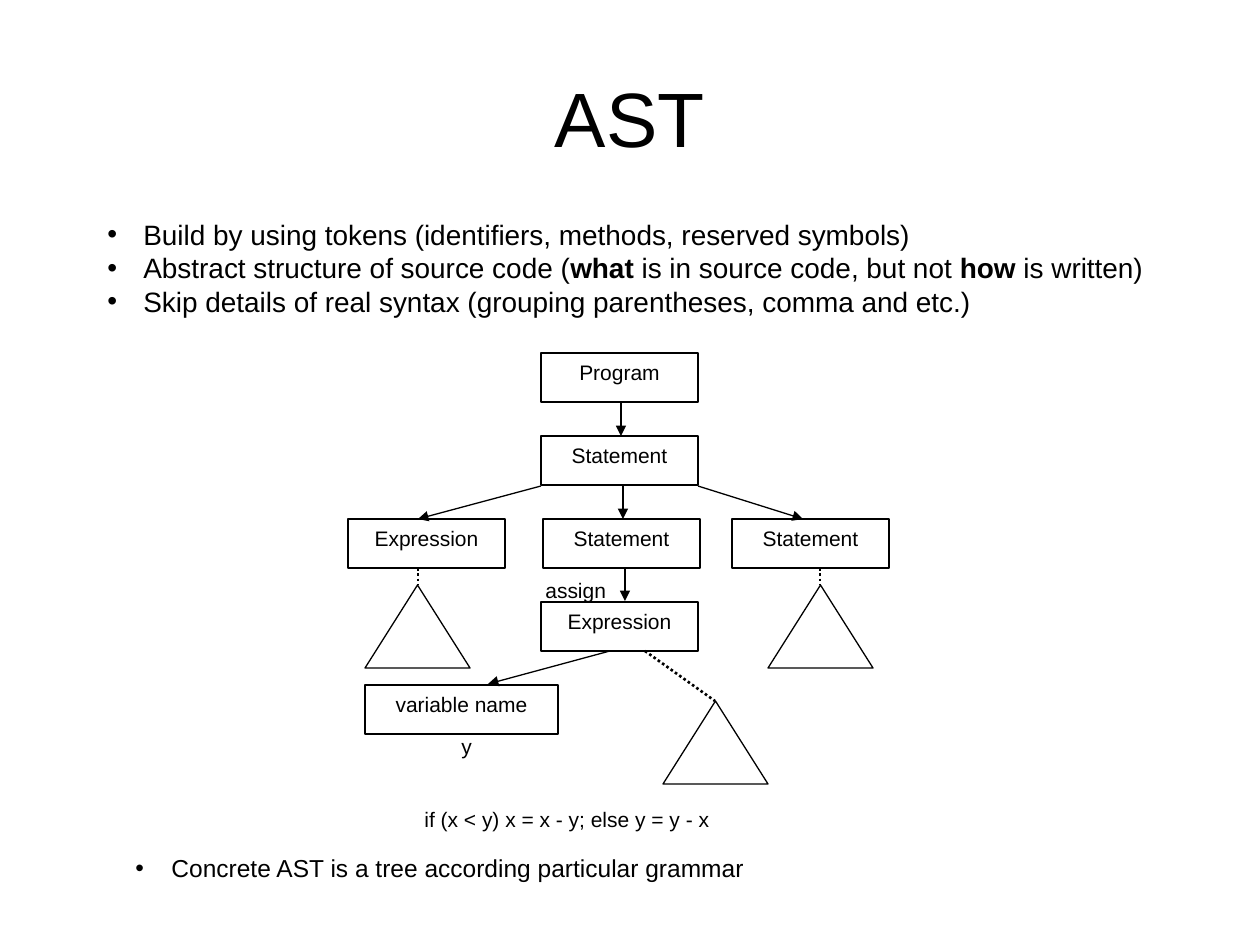
import pptx
import pptx.util
import pptx.dml.color
import pptx.enum.dml
import pptx.enum.shapes
import pptx.enum.text
import pptx.oxml.ns
from lxml import etree

PX = 914400 / 126
SHAPE = pptx.enum.shapes.MSO_SHAPE
ALIGN = pptx.enum.text.PP_ALIGN
ANCHOR = pptx.enum.text.MSO_ANCHOR
qn = pptx.oxml.ns.qn


def px(*values):
    return [pptx.util.Emu(round(v * PX)) for v in values]


def color(value):
    return pptx.dml.color.RGBColor.from_string(value)


prs = pptx.Presentation()
prs.slide_width, prs.slide_height = px(1260, 945)
s = prs.slides.add_slide(prs.slide_layouts[6])

# Tree nodes and collapsed subtrees: preset, text, left, top, width, height
TOP, STEP, W, H = 353, 83, 157, 49
nodes = [(SHAPE.RECTANGLE, text, x, TOP + STEP * row, w, H) for text, x, row, w in [
    ("Program", 541, 0, W),
    ("Statement", 541, 1, W),
    ("Expression", 348, 2, W),
    ("Statement", 543, 2, W),
    ("Statement", 732, 2, W),
    ("Expression", 541, 3, W),
    ("variable name", 365, 4, 193),
]]
nodes += [(SHAPE.FLOWCHART_EXTRACT, "", x, y, 105, 83)
          for x, y in [(365, 585), (768, 585), (663, 701)]]
for shape, text, *box in nodes:
    sp = s.shapes.add_shape(shape, *px(*box))
    sp.shadow.inherit = False
    sp.fill.solid()
    sp.fill.fore_color.rgb = color("FFFFFF")
    sp.line.color.rgb = color("000000")
    sp.line.width = pptx.util.Pt(0.75)
    if text:
        tf = sp.text_frame
        tf.vertical_anchor = ANCHOR.TOP
        p = tf.paragraphs[0]
        p.alignment = ALIGN.CENTER
        r = p.add_run()
        r.text = text
        for key, value in {"name": "Arial", "size": pptx.util.Pt(12)}.items():
            setattr(r.font, key, value)
        r.font.color.rgb = color("000000")

# Solid arrows between nodes, dotted lines to subtrees
edges = [
    (621, 403, 621, 436, "arrow"),
    (623, 486, 623, 519, "arrow"),
    (625, 568, 625, 601, "arrow"),
    (541, 486, 418, 519, "arrow"),
    (698, 486, 803, 519, "arrow"),
    (610, 651, 488, 684, "arrow"),
    (418, 568, 418, 585, "dots"),
    (820, 568, 820, 585, "dots"),
    (645, 651, 715, 701, "dots"),
]
for *ends, kind in edges:
    ln = s.shapes.add_connector(pptx.enum.shapes.MSO_CONNECTOR.STRAIGHT, *px(*ends))
    ln.line.color.rgb = color("000000")
    ln.line.width = pptx.util.Pt(0.75 if kind == "arrow" else 1.5)
    if kind == "arrow":
        etree.SubElement(ln.line._get_or_add_ln(), qn("a:tailEnd"), type="triangle")
    else:
        ln.line.dash_style = pptx.enum.dml.MSO_LINE.ROUND_DOT
    etree.SubElement(ln._element.spPr, qn("a:effectLst"))

# Labels, bullets and title: box, size, style, paragraphs of runs (odd runs bold)
texts = [
    ((449, 727, 35, 49), 12, "label", [["y"]]),
    ((533, 571, 87, 49), 12, "label", [["assign"]]),
    ((412, 800, 473, 49), 12, "label", [["if (x < y) x = x - y; else y = y - x"]]),
    ((95, 211, 1111, 113), 16, "bullet", [
        ["Build by using tokens (identifiers, methods, reserved symbols)"],
        ["Abstract structure of source code (", "what",
         " is in source code, but not ", "how", " is written)"],
        ["Skip details of real syntax (grouping parentheses, comma and etc.)"],
    ]),
    ((123, 847, 1062, 43), 14, "bullet",
     [["Concrete AST is a tree according particular grammar"]]),
    ((63, 38, 1134, 158), 44, "title", [["AST"]]),
]
INDENT = px(36)[0]
for box, size, style, paragraphs in texts:
    tf = s.shapes.add_textbox(*px(*box)).text_frame
    tf.word_wrap = True
    tf.vertical_anchor = ANCHOR.MIDDLE if style == "title" else ANCHOR.TOP
    for i, runs in enumerate(paragraphs):
        p = tf.add_paragraph() if i else tf.paragraphs[0]
        p.alignment = ALIGN.CENTER if style == "title" else ALIGN.LEFT
        if style == "bullet":
            pPr = p._p.get_or_add_pPr()
            pPr.set("marL", str(INDENT))
            pPr.set("indent", str(-INDENT))
            etree.SubElement(pPr, qn("a:buFont"), typeface="Arial")
            etree.SubElement(pPr, qn("a:buChar"), char="•")
        for j, text in enumerate(runs):
            r = p.add_run()
            r.text = text
            fmt = {"name": "Arial", "size": pptx.util.Pt(size), "bold": j % 2 == 1}
            for key, value in fmt.items():
                setattr(r.font, key, value)
            r.font.color.rgb = color("000000")

prs.save("out.pptx")
